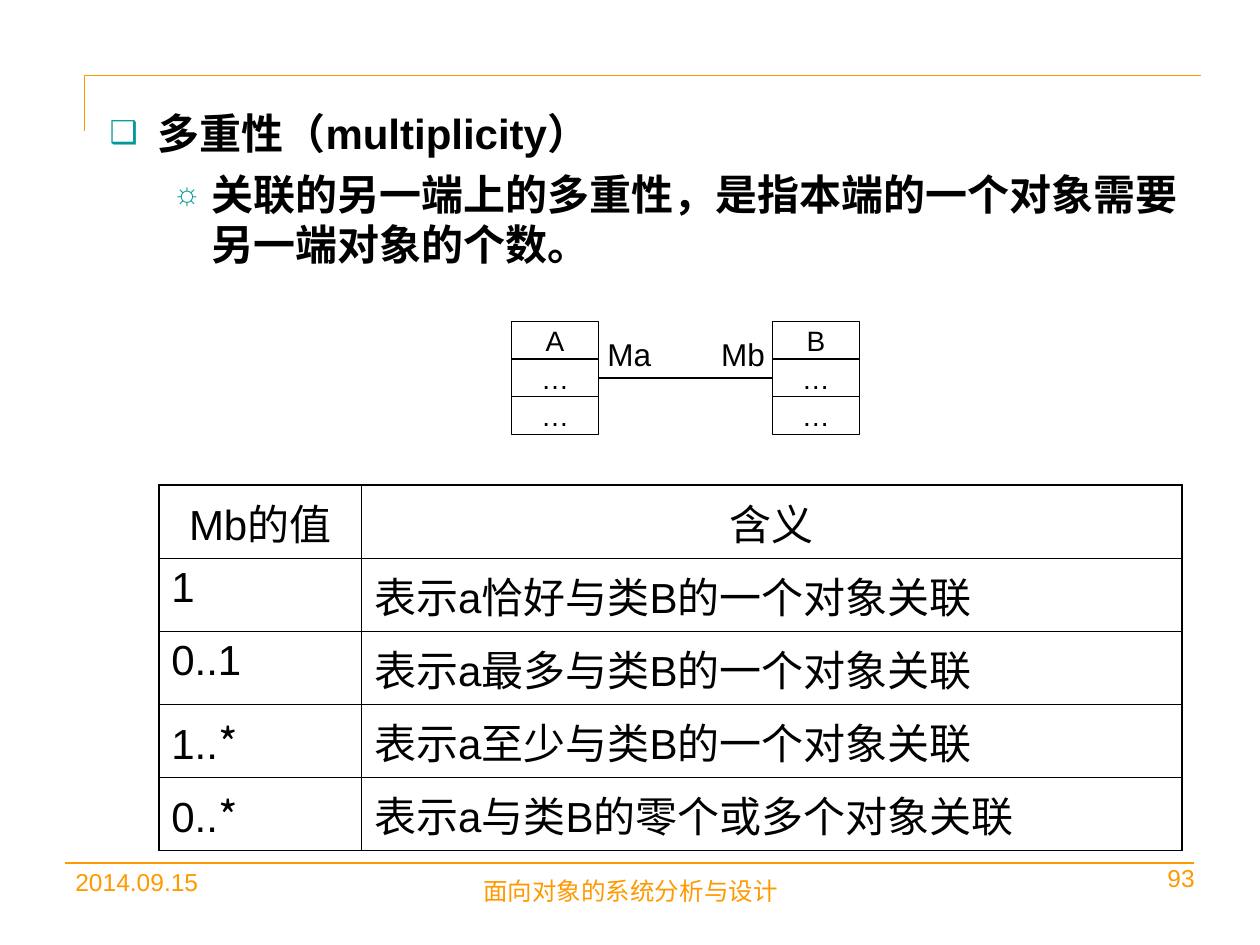
import pptx
import pptx.enum.shapes
import pptx.enum.text
import pptx.oxml
import pptx.oxml.ns
import pptx.util
from pptx.util import Inches

COLORS = {"accent": "FF9900", "bullet": "009999", "ink": "000000"}
LATIN = "Arial"
CHINESE = "Noto Sans CJK SC"
ALIGN = pptx.enum.text.PP_ALIGN
ANCHOR = pptx.enum.text.MSO_ANCHOR
BULLETS = [
    ("多重性（multiplicity）", "❑", 0.38, 0.38),
    ("关联的另一端上的多重性，是指本端的一个对象需要另一端对象的个数。", "☼", 0.81, 0.31),
]
MEANINGS = [
    ("Mb的值", "含义"),
    ("1", "表示a恰好与类B的一个对象关联"),
    ("0..1", "表示a最多与类B的一个对象关联"),
    ("1..*", "表示a至少与类B的一个对象关联"),
    ("0..*", "表示a与类B的零个或多个对象关联"),
]


def rgb(name):
    """Return the named colour."""
    return pptx.dml.color.RGBColor.from_string(COLORS[name])


def make_element(markup):
    """Return a drawing element, given its markup without the namespace."""
    tag, separator, rest = markup.partition(" ")
    namespace = pptx.oxml.ns.nsdecls("a")
    return pptx.oxml.parse_xml(f"<a:{tag} {namespace} {rest}")


def write(paragraph, text, size=24, color="ink", bold=False, align=ALIGN.LEFT, font=LATIN):
    """Add a formatted run to a paragraph."""
    paragraph.alignment = align
    run = paragraph.add_run()
    run.text = text
    run.font.size = pptx.util.Pt(size)
    run.font.bold = bold
    run.font.name = font
    run.font.color.rgb = rgb(color)
    run.font._element.find(pptx.oxml.ns.qn("a:latin")).addnext(
        make_element(f'ea typeface="{CHINESE}"/>'))


def add_line(slide, start, end, color="ink"):
    """Draw a thin straight line without a shadow."""
    line = slide.shapes.add_connector(
        pptx.enum.shapes.MSO_CONNECTOR.STRAIGHT, *map(Inches, start + end))
    line.line.color.rgb = rgb(color)
    line.line.width = pptx.util.Pt(0.75)
    line._element.spPr.append(make_element("effectLst />"))


def add_label(slide, box, text, **text_format):
    """Add a wrapping text box and return it."""
    label = slide.shapes.add_textbox(*map(Inches, box))
    label.text_frame.word_wrap = True
    write(label.text_frame.paragraphs[0], text, **text_format)
    return label


def add_bullets(placeholder):
    """Fill the body placeholder with its two bullet levels."""
    placeholder.left, placeholder.top = Inches(0.77), Inches(0.8)
    placeholder.width, placeholder.height = Inches(8.71), Inches(5.9)
    frame = placeholder.text_frame
    frame.auto_size = pptx.enum.text.MSO_AUTO_SIZE.NONE
    for level, (text, mark, margin, hanging) in enumerate(BULLETS):
        paragraph = frame.add_paragraph() if level else frame.paragraphs[0]
        paragraph.level = level
        paragraph.space_before = pptx.util.Pt(6 * level)
        properties = paragraph._element.get_or_add_pPr()
        properties.set("marL", str(Inches(margin)))
        properties.set("indent", str(-Inches(hanging)))
        properties.append(make_element(f'buClr ><a:srgbClr val="{COLORS["bullet"]}"/></a:buClr>'))
        properties.append(make_element('buSzPct val="75000"/>'))
        properties.append(make_element(f'buChar char="{mark}"/>'))
        write(paragraph, text, bold=True)


def add_class_box(slide, left, name):
    """Draw a class as three stacked compartments."""
    height = 0.3
    for row, text in enumerate((name, "…", "…")):
        compartment = slide.shapes.add_shape(
            pptx.enum.shapes.MSO_SHAPE.RECTANGLE,
            Inches(left), Inches(2.55 + row * height), Inches(0.69), Inches(height))
        compartment.shadow.inherit = False
        compartment.fill.background()
        compartment.line.color.rgb = rgb("ink")
        compartment.line.width = pptx.util.Pt(0.75)
        compartment.text_frame.word_wrap = False
        compartment.text_frame.vertical_anchor = ANCHOR.MIDDLE
        write(compartment.text_frame.paragraphs[0], text, size=16, align=ALIGN.CENTER)


def add_association(slide):
    """Draw classes A and B joined by a line with a label at each end."""
    add_class_box(slide, 4.06, "A")
    add_class_box(slide, 6.13, "B")
    add_line(slide, (4.75, 3), (6.13, 3))
    label = add_label(slide, (4.65, 2.61, 1.58, 0.4), "Ma\tMb", size=18)
    label.text_frame.margin_left = Inches(0.17)
    properties = label.text_frame.paragraphs[0]._element.get_or_add_pPr()
    properties.append(make_element(f'tabLst ><a:tab pos="{Inches(1.25)}" algn="r"/></a:tabLst>'))


def set_borders(cell, outer_sides):
    """Give a cell thin borders, thicker on its outer sides."""
    properties = cell._tc.get_or_add_tcPr()
    for position, side in enumerate("LRTB"):
        width = pptx.util.Pt(1.08 if side in outer_sides else 0.45)
        properties.insert(position, make_element(
            f'ln{side} w="{width}"><a:solidFill><a:srgbClr val="{COLORS["ink"]}"/>'
            f"</a:solidFill></a:ln{side}>"))


def add_meanings_table(slide):
    """Add the table of multiplicity values and meanings."""
    row_count = len(MEANINGS)
    table = slide.shapes.add_table(
        row_count, 2, Inches(1.26), Inches(3.85), Inches(8.12), Inches(0.58 * row_count)).table
    table.first_row = table.horz_banding = False
    table.columns[0].width, table.columns[1].width = Inches(1.61), Inches(6.51)
    for row, texts in enumerate(MEANINGS):
        for column, text in enumerate(texts):
            cell = table.cell(row, column)
            cell.fill.background()
            paragraph = cell.text_frame.paragraphs[0]
            value, star, rest = text.partition("*")
            write(paragraph, value, align=ALIGN.LEFT if row else ALIGN.CENTER)
            if star:
                write(paragraph, star, font=CHINESE)
            vertical = {0: "T", row_count - 1: "B"}.get(row, "")
            set_borders(cell, "LR"[column] + vertical)


def add_frame(slide):
    """Draw the rules and the footer."""
    add_line(slide, (9.53, 0.6), (0.67, 0.6), "accent")
    add_line(slide, (0.67, 1.04), (0.67, 0.6), "accent")
    add_line(slide, (9.48, 6.85), (0.52, 6.85), "accent")
    for box, text, align in (
        ((8.74, 6.8, 0.84, 0.34), "93", ALIGN.RIGHT),
        ((0.5, 6.83, 2.33, 0.52), "2014.09.15", ALIGN.LEFT),
        ((3.42, 6.9, 3.17, 0.45), "面向对象的系统分析与设计", ALIGN.CENTER),
    ):
        add_label(slide, box, text, size=14, color="accent", align=align)


def main():
    """Build and save the slide."""
    presentation = pptx.Presentation()
    presentation.slide_width, presentation.slide_height = Inches(10), Inches(7.5)
    slide = presentation.slides.add_slide(presentation.slide_layouts[1])
    title = slide.shapes.title._element
    title.getparent().remove(title)
    add_frame(slide)
    add_bullets(slide.placeholders[1])
    add_association(slide)
    add_meanings_table(slide)
    presentation.save("out.pptx")


if __name__ == "__main__":
    main()
